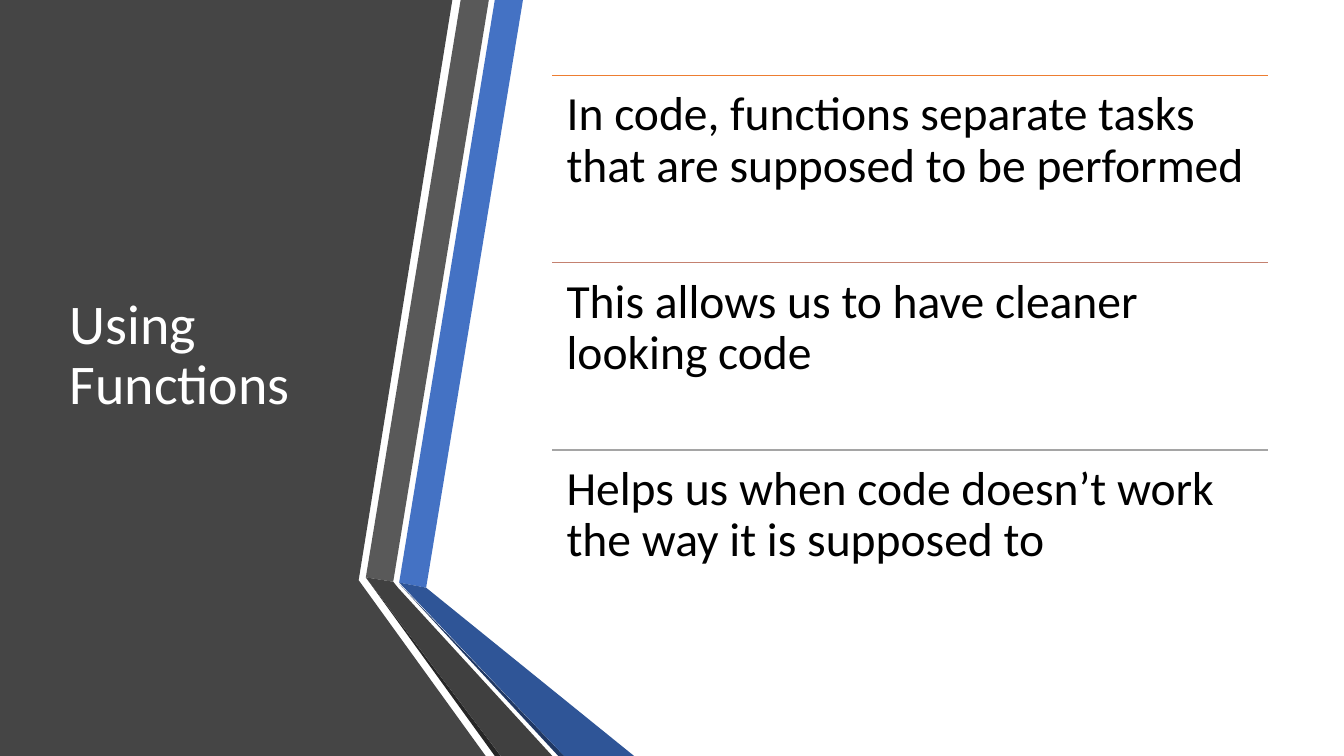
from dataclasses import dataclass

from lxml import etree
from pptx import Presentation
from pptx import util as u
from pptx.dml import color
from pptx.enum import shapes, text
from pptx.oxml import ns


@dataclass(frozen=True)
class Theme:
    """Colours and type of the slide."""
    font: str = "Calibri"
    head: int = 40
    body: int = 34
    white: str = "FFFFFF"
    black: str = "000000"
    panel: str = "454545"
    blue: str = "4472C4"
    deep: str = "2F5597"
    navy: str = "203864"
    grey: str = "595959"
    dark: str = "404040"
    shade: str = "262626"


THEME = Theme()
WIDE, HIGH = 33.87, 19.05

# Ribbon outlines in cm, from back to front
BANDS = [
    (THEME.panel, [(0, 0), (11.4, 0), (9.04, 14.62), (12.24, HIGH), (0, HIGH)]),
    (THEME.blue, [(10.06, 14.68), (10.74, 14.81), (13.18, 0), (12.47, 0)]),
    (THEME.grey, [(12.32, 0), (11.61, 0), (9.22, 14.55), (9.91, 14.66)]),
    (THEME.shade, [(9.22, 14.55), (12.47, HIGH), (12.62, HIGH)]),
    (THEME.navy, [(10.06, 14.71), (14.07, HIGH), (14.22, HIGH)]),
    (THEME.deep, [(10.06, 14.68), (14.22, HIGH), (15.98, HIGH), (10.74, 14.81)]),
    (THEME.dark, [(9.22, 14.55), (12.62, HIGH), (13.92, HIGH), (10.03, 14.81),
                  (9.91, 14.66)]),
]

POINTS = [
    ("ED7D31", "In code, functions separate tasks that are supposed to be performed"),
    ("C48170", "This allows us to have cleaner looking code"),
    ("A5A5A5", "Helps us when code doesn’t work the way it is supposed to"),
]
LEFT, TOP, SPAN, STEP = 13.92, 1.9, 18.03, 4.72


def rgb(code):
    """Turn a hex code into a colour."""
    return color.RGBColor.from_string(code)


def add_band(slide, tint, dots):
    """Draw one filled outline without a line."""
    spots = [(u.Cm(x), u.Cm(y)) for x, y in dots]
    pen = slide.shapes.build_freeform(*spots[0])
    pen.add_line_segments(spots[1:], close=True)
    band = pen.convert_to_shape()
    band.shadow.inherit = False
    band.fill.solid()
    band.fill.fore_color.rgb = rgb(tint)
    band.line.fill.background()


def set_text(frame, words, size, tint):
    """Fill a frame with one left-aligned paragraph."""
    frame.text = words
    frame.word_wrap = True
    frame.auto_size = text.MSO_AUTO_SIZE.NONE
    para = frame.paragraphs[0]
    para.alignment = text.PP_ALIGN.LEFT
    para.line_spacing = 0.9
    para.font.name = THEME.font
    para.font.size = u.Pt(size)
    para.font.color.rgb = rgb(tint)


def set_title(slide, words):
    """Place the title on the dark panel."""
    title = slide.shapes.title
    title.left, title.top = u.Cm(1.5), u.Cm(TOP)
    title.width, title.height = u.Cm(7.72), u.Cm(3 * STEP)
    set_text(title.text_frame, words, THEME.head, THEME.white)
    title.text_frame.vertical_anchor = text.MSO_ANCHOR.MIDDLE


def add_rule(slide, top, tint):
    """Draw a thin line above a point."""
    rule = slide.shapes.add_connector(
        shapes.MSO_CONNECTOR.STRAIGHT,
        u.Cm(LEFT), u.Cm(top), u.Cm(LEFT + SPAN), u.Cm(top))
    rule.line.color.rgb = rgb(tint)
    rule.line.width = u.Pt(1)
    etree.SubElement(rule.element.spPr, ns.qn("a:effectLst"))


def add_point(slide, top, words):
    """Write one point in its row."""
    box = slide.shapes.add_textbox(
        u.Cm(LEFT), u.Cm(top), u.Cm(SPAN), u.Cm(STEP))
    frame = box.text_frame
    frame.margin_left = frame.margin_right = u.Cm(0.36)
    frame.margin_top = frame.margin_bottom = u.Cm(0.36)
    set_text(frame, words, THEME.body, THEME.black)


def main():
    """Build and save the slide."""
    deck = Presentation()
    deck.slide_width, deck.slide_height = u.Cm(WIDE), u.Cm(HIGH)
    slide = deck.slides.add_slide(deck.slide_layouts.get_by_name("Title Only"))
    for tint, dots in BANDS:
        add_band(slide, tint, dots)
    # Lift the title above the panel
    slide.shapes.element.append(slide.shapes.title.element)
    set_title(slide, "Using Functions")
    for row, (tint, words) in enumerate(POINTS):
        top = TOP + row * STEP
        add_rule(slide, top, tint)
        add_point(slide, top, words)
    deck.save("out.pptx")


main()
